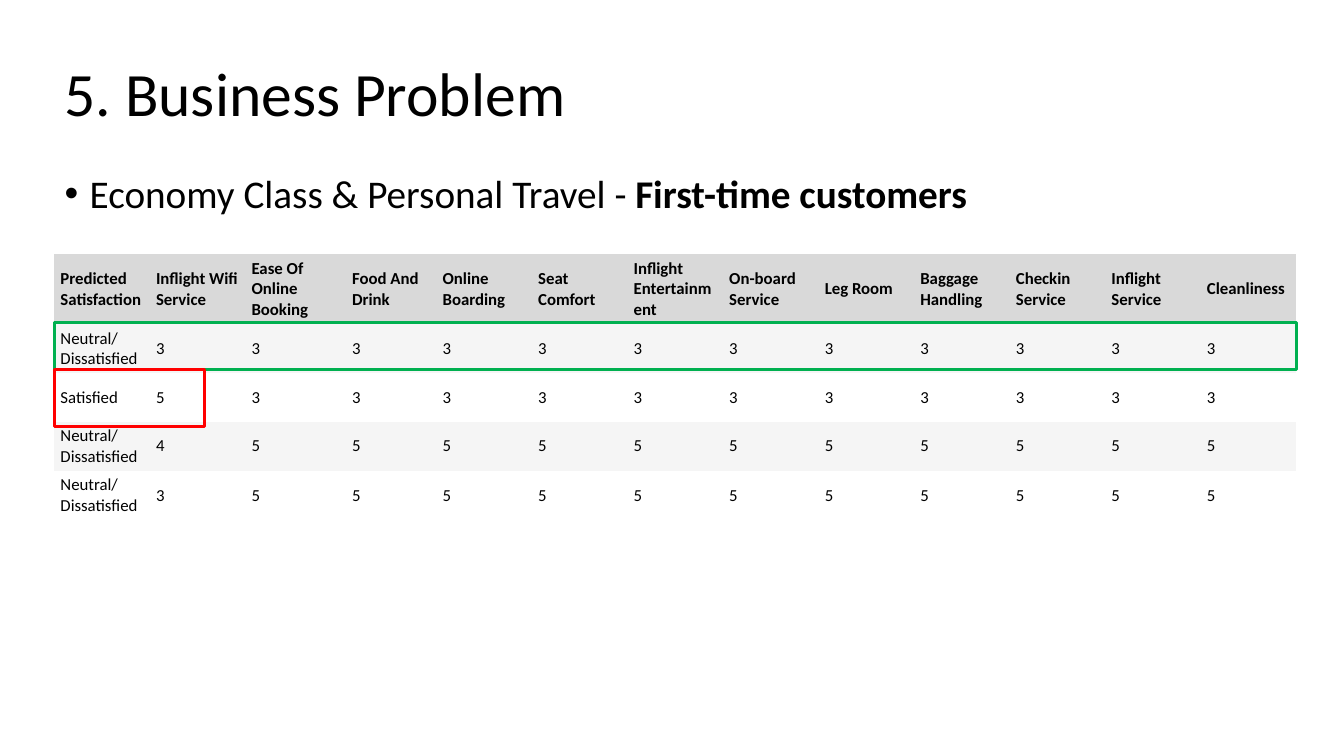
import pptx
import pptx.dml.color
import pptx.enum.shapes
import pptx.enum.text
import pptx.oxml.ns
import pptx.util

SLIDE_WIDTH = pptx.util.Inches(13.33)
SLIDE_HEIGHT = pptx.util.Inches(7.5)
COLOURS = {"text": "000000", "header": "D9D9D9", "band": "F5F5F5",
           "neutral": "00B050", "satisfied": "FF0000"}
NO_GRID_STYLE = "{2D5ABB26-0587-4C30-8999-92F81FD0307C}"

# Left, top, width and height in percent of the slide
TITLE_AREA = (4.05, 3.07, 86.27, 19.33)
BODY_AREA = (4.05, 22.4, 83.65, 8.8)
RATINGS_AREA = (4.05, 33.6, 92.42, 35.2)
NEUTRAL_AREA = (4.05, 42.67, 92.42, 6.27)
SATISFIED_AREA = (4.05, 48.93, 11.18, 7.47)

COLUMN_WEIGHTS = [0.95, 0.95, 1, 0.9] + [0.95] * 9
ROW_WEIGHTS = [0.7, 0.49, 0.48, 0.49, 0.49]
HEADINGS = ["Predicted Satisfaction", "Inflight Wifi Service",
            "Ease Of Online Booking", "Food And Drink", "Online Boarding",
            "Seat Comfort", "Inflight Entertainment", "On-board Service",
            "Leg Room", "Baggage Handling", "Checkin Service",
            "Inflight Service", "Cleanliness"]
NEUTRAL = "Neutral/\nDissatisfied"
# Prediction, wifi rating, rating of each of the other services
RATINGS = [(NEUTRAL, 3, 3), ("Satisfied", 5, 3), (NEUTRAL, 4, 5), (NEUTRAL, 3, 5)]

PARAGRAPH_FORMAT = {"alignment": pptx.enum.text.PP_ALIGN.LEFT, "line_spacing": 0.9}
CELL_FORMAT = {
    "margin_left": pptx.util.Inches(0.06),
    "margin_right": pptx.util.Inches(0.06),
    "margin_top": pptx.util.Inches(0.03),
    "margin_bottom": pptx.util.Inches(0.03),
    "vertical_anchor": pptx.enum.text.MSO_ANCHOR.MIDDLE,
}


def apply_format(target, values):
    for name, value in values.items():
        setattr(target, name, value)


def colour(name):
    return pptx.dml.color.RGBColor.from_string(COLOURS[name])


def box(area):
    """Turn percent of the slide into left, top, width and height."""
    left, top, width, height = (share / 100 for share in area)
    return (int(left * SLIDE_WIDTH), int(top * SLIDE_HEIGHT),
            int(width * SLIDE_WIDTH), int(height * SLIDE_HEIGHT))


def style_font(font, size, bold=False):
    apply_format(font, {"name": "Calibri", "size": pptx.util.Pt(size), "bold": bold})
    font.color.rgb = colour("text")


def fill_placeholder(placeholder, area, phrases, size, anchor, space_before):
    """Place one paragraph made of (text, bold) phrases."""
    apply_format(placeholder, dict(zip(("left", "top", "width", "height"), box(area))))
    frame = placeholder.text_frame
    apply_format(frame, {"auto_size": pptx.enum.text.MSO_AUTO_SIZE.NONE,
                         "vertical_anchor": anchor})
    paragraph = frame.paragraphs[0]
    apply_format(paragraph, PARAGRAPH_FORMAT)
    paragraph.space_before = pptx.util.Pt(space_before)
    for text, bold in phrases:
        run = paragraph.add_run()
        run.text = text
        style_font(run.font, size, bold)
    return paragraph


def set_bullet(paragraph, indent):
    properties = paragraph.font._element.getparent()
    properties.set("marL", str(indent))
    properties.set("indent", str(-indent))
    bullet = properties.makeelement(pptx.oxml.ns.qn("a:buChar"), {"char": "•"})
    properties.find(pptx.oxml.ns.qn("a:defRPr")).addprevious(bullet)


def fill_cell(cell, text, bold, fill):
    apply_format(cell, CELL_FORMAT)
    cell.text = text
    for paragraph in cell.text_frame.paragraphs:
        for run in paragraph.runs:
            style_font(run.font, 12, bold)
    if fill:
        cell.fill.solid()
        cell.fill.fore_color.rgb = colour(fill)
    else:
        cell.fill.background()


def add_ratings(slide):
    lines = [HEADINGS] + [
        [prediction, str(wifi)] + [str(other)] * (len(HEADINGS) - 2)
        for prediction, wifi, other in RATINGS]
    left, top, width, height = box(RATINGS_AREA)
    holder = slide.shapes.add_table(len(lines), len(HEADINGS), left, top, width, height)
    for style in holder.element.iter(pptx.oxml.ns.qn("a:tableStyleId")):
        style.text = NO_GRID_STYLE
    ratings = holder.table
    for column, weight in zip(ratings.columns, COLUMN_WEIGHTS):
        column.width = int(width * weight / sum(COLUMN_WEIGHTS))
    for row, weight in zip(ratings.rows, ROW_WEIGHTS):
        row.height = int(height * weight / sum(ROW_WEIGHTS))
    for row_number, line in enumerate(lines):
        heading = row_number == 0
        fill = "header" if heading else "band" if row_number % 2 else None
        for column_number, text in enumerate(line):
            fill_cell(ratings.cell(row_number, column_number), text, heading, fill)


def add_highlight(slide, area, name):
    highlight = slide.shapes.add_shape(
        pptx.enum.shapes.MSO_SHAPE.RECTANGLE, *box(area))
    highlight.shadow.inherit = False
    highlight.fill.background()
    highlight.line.color.rgb = colour(name)
    highlight.line.width = pptx.util.Pt(2)


def main():
    deck = pptx.Presentation()
    apply_format(deck, {"slide_width": SLIDE_WIDTH, "slide_height": SLIDE_HEIGHT})
    slide = deck.slides.add_slide(deck.slide_layouts[1])
    anchors = pptx.enum.text.MSO_ANCHOR
    fill_placeholder(slide.shapes.title, TITLE_AREA,
                     [("5. Business Problem", False)], 44, anchors.MIDDLE, 0)
    segment = fill_placeholder(
        slide.placeholders[1], BODY_AREA,
        [("Economy Class & Personal Travel - ", False), ("First-time customers", True)],
        28, anchors.TOP, 10)
    set_bullet(segment, pptx.util.Inches(0.25))
    add_ratings(slide)
    add_highlight(slide, NEUTRAL_AREA, "neutral")
    add_highlight(slide, SATISFIED_AREA, "satisfied")
    deck.save("out.pptx")


if __name__ == "__main__":
    main()
